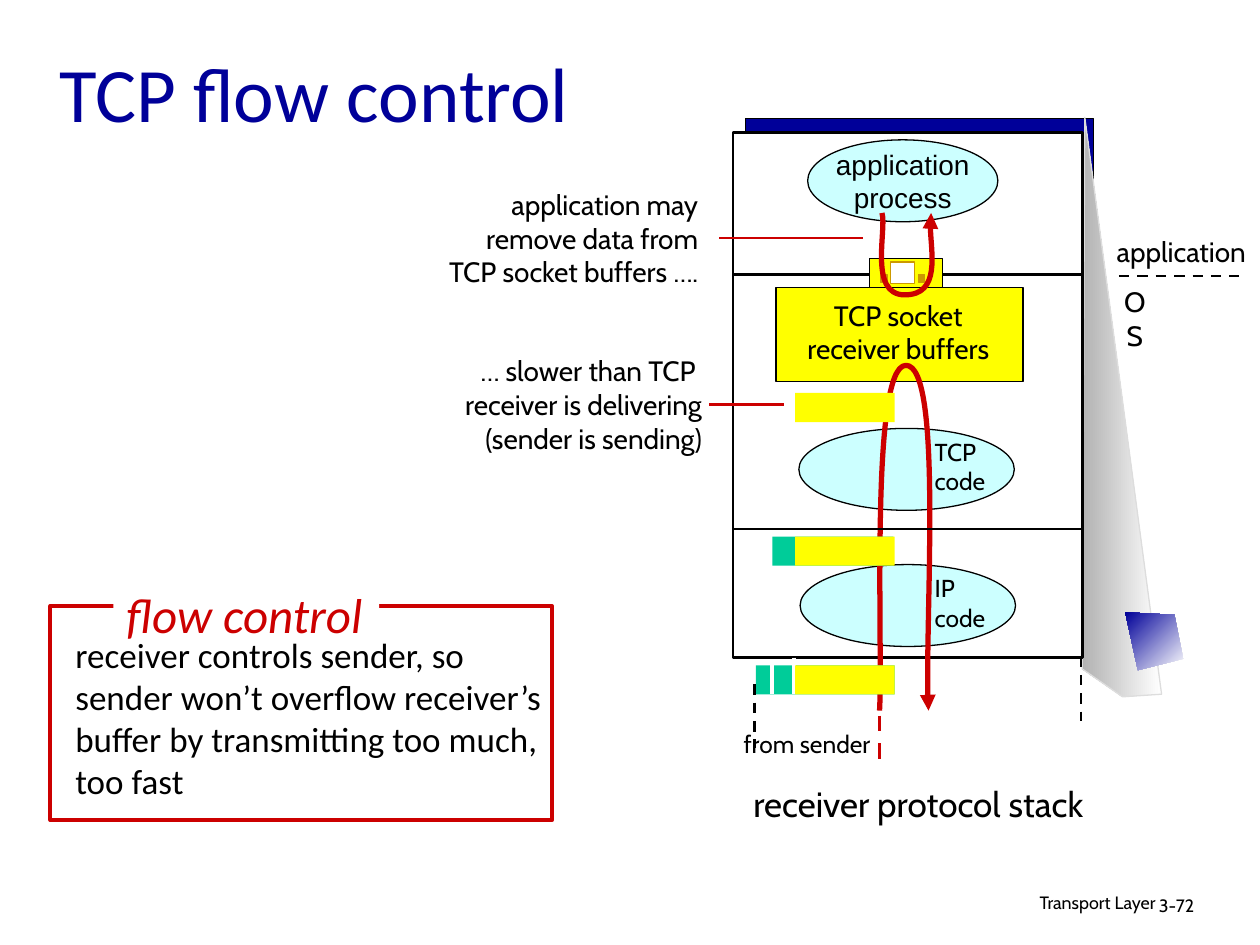
from typing import NamedTuple

from lxml import etree
from pptx import Presentation
from pptx.dml.color import RGBColor
from pptx.enum.dml import MSO_LINE
from pptx.enum.shapes import MSO_CONNECTOR, MSO_SHAPE
from pptx.enum.text import MSO_ANCHOR, MSO_AUTO_SIZE, PP_ALIGN
from pptx.oxml.ns import qn
from pptx.util import Pt

RECT, OVAL = MSO_SHAPE.RECTANGLE, MSO_SHAPE.OVAL
LEFT, CENTER, RIGHT = PP_ALIGN.LEFT, PP_ALIGN.CENTER, PP_ALIGN.RIGHT
TOP, MIDDLE = MSO_ANCHOR.TOP, MSO_ANCHOR.MIDDLE
STRAIGHT, DASH = MSO_CONNECTOR.STRAIGHT, MSO_LINE.DASH

COLORS = {
    "black": "000000", "white": "FFFFFF", "navy": "000099", "red": "CC0000",
    "yellow": "FFFF00", "cyan": "CCFFFF", "green": "00CC99", "gold": "CC9900",
    "gray": "B2B2B2", "pale": "DDDDDD",
}


class Box(NamedTuple):
    left: float
    top: float
    width: float
    height: float

    def at(self, x, y, width, height):
        return Box(self.left + x, self.top + y, width, height)

    def points(self, *pairs):
        return [(Pt(self.left + x), Pt(self.top + y)) for x, y in pairs]


def rgb(name):
    return RGBColor.from_string(COLORS[name])


def write(frame, text, size=16, font="Cabin", color="black", align=LEFT,
          anchor=TOP, wrap=False, italic=False, spacing=None):
    frame.word_wrap = wrap
    frame.auto_size = MSO_AUTO_SIZE.NONE
    frame.vertical_anchor = anchor
    frame.text = text
    for paragraph in frame.paragraphs:
        paragraph.alignment = align
        paragraph.line_spacing = spacing
        paragraph.font.size = Pt(size)
        paragraph.font.name = font
        paragraph.font.italic = italic
        paragraph.font.color.rgb = rgb(color)


def add_text(slide, box, text, **style):
    label = slide.shapes.add_textbox(*map(Pt, box))
    write(label.text_frame, text, **style)


def outline(shape, color, width):
    shape.shadow.inherit = False
    if color:
        shape.line.color.rgb = rgb(color)
        shape.line.width = Pt(width)
    else:
        shape.line.fill.background()


def add_block(slide, box, fill, line=None, width=0.75, kind=RECT):
    block = slide.shapes.add_shape(kind, *map(Pt, box))
    block.fill.solid()
    block.fill.fore_color.rgb = rgb(fill)
    outline(block, line, width)
    return block


def add_line(slide, box, start, end, color="black", width=1.5, dash=None):
    (x1, y1), (x2, y2) = box.points(start, end)
    line = slide.shapes.add_connector(STRAIGHT, x1, y1, x2, y2)
    line.line.color.rgb = rgb(color)
    line.line.width = Pt(width)
    line.line.dash_style = dash
    etree.SubElement(line.element.spPr, qn("a:effectLst"))


def add_outline(slide, points, close):
    builder = slide.shapes.build_freeform(*points[0], scale=1.0)
    builder.add_line_segments(points[1:], close=close)
    return builder.convert_to_shape()


def add_gradient(slide, points, end_color, angle, line=None):
    shape = add_outline(slide, points, True)
    shape.fill.gradient()
    shape.fill.gradient_angle = angle
    for stop, color in zip(shape.fill.gradient_stops, ("white", end_color)):
        stop.color.rgb = rgb(color)
    outline(shape, line, 0.75)


def add_flow_arrow(slide, points, arrow_end):
    """Red curve: each three points after the first make one Bézier segment."""
    curve = add_outline(slide, points, False)
    curve.fill.background()
    outline(curve, "red", 3)
    route = curve.element.xpath(".//a:path")[0]
    segments = route.findall(qn("a:lnTo"))
    for i in range(0, len(segments), 3):
        bezier = etree.SubElement(route, qn("a:cubicBezTo"))
        for segment in segments[i:i + 3]:
            bezier.append(segment[0])
            route.remove(segment)
    etree.SubElement(curve.line._get_or_add_ln(), qn(arrow_end), type="triangle")


def add_title(slide, box):
    title = slide.shapes.title
    title.left, title.top, title.width, title.height = map(Pt, box)
    write(title.text_frame, "TCP flow control", size=44, font="Calibri",
          color="navy", anchor=MIDDLE, wrap=True)


def add_footer(slide, box):
    style = {"size": 10.2, "spacing": 0.9, "wrap": True}
    add_text(slide, box, "Transport Layer", align=RIGHT, **style)
    add_text(slide, box.at(216, 1.4, 53.3, 21.6), "3-72", **style)


def add_protocol_stack(slide, box):
    # Raised frame
    add_block(slide, box.at(7.2, -7.9, 198.7, 303.8), "navy", "black")
    side = box.points((244.8, 321.1), (200.9, -8.6), (199.5, 306.7), (222.5, 322.6))
    add_gradient(slide, side, "gray", 180, "pale")
    add_block(slide, box, "white", "black", 1.5)

    # Processes and buffers
    process = add_block(slide, box.at(42.5, 4.3, 108.7, 46.8), "cyan", "black", kind=OVAL)
    write(process.text_frame, "application\nprocess", font="Arial",
          align=CENTER, anchor=MIDDLE)
    add_block(slide, box.at(24.5, 88.6, 141.1, 54), "yellow", "black")
    add_text(slide, box.at(28.1, 91.4, 132.5, 46), "TCP socket\nreceiver buffers",
             align=CENTER)
    for protocol, x, y in (("TCP", 37.5, 169.2), ("IP", 38.2, 247)):
        add_block(slide, box.at(x, y, 123.1, 46.8), "cyan", "black", kind=OVAL)
        add_text(slide, box.at(108, y + 1.4, 46.1, 41), f"{protocol}\ncode", size=14)

    # Path up through the layers, then the layer borders
    add_flow_arrow(slide, box.points(
        (83.6, 330.5), (85.7, 297.4), (77.8, 133.2), (98.7, 133.2),
        (119.6, 133.2), (108.8, 289.4), (111.6, 330.5)), "a:tailEnd")
    for y in (226.8, 81.4):
        add_line(slide, box, (0, y), (200.2, y))

    # Socket, and the path from it to the process
    add_block(slide, box.at(77.8, 72, 41.8, 16.6), "yellow", "black")
    add_block(slide, box.at(90, 74.2, 13.7, 12.2), "white", "gold")
    for x in (84.3, 105.9):
        add_block(slide, box.at(x, 81.4, 3.6, 4.3), "gold", "gold")
    add_flow_arrow(slide, box.points(
        (113.1, 46.1), (110.9, 54), (118.8, 92.9), (98, 92.9),
        (77.1, 92.9), (87.9, 55.4), (85, 46.1)), "a:headEnd")

    # Packets: green headers, yellow payload
    add_block(slide, box.at(13, 304.6, 79.2, 16.6), "green")
    add_block(slide, box.at(22.4, 231.1, 69.1, 16.6), "green")
    for x, y in ((22.4, 304.6), (34.6, 304.6), (34.6, 300.2)):
        add_line(slide, box, (x, y), (x, y + 16.6), "white", 2.25)
    for y in (149, 231.1, 304.6):
        add_block(slide, box.at(35.3, y, 57, 16.6), "yellow")

    # Link to the sender, and caption
    add_line(slide, box, (83.6, 333.4), (83.6, 360.7), "red", 2.25, DASH)
    add_text(slide, box.at(-5.7, 337.7, 95.8, 24.5), "from sender", size=14, align=CENTER)
    for x, y in ((12.3, 315.4), (198.8, 299.5)):
        add_line(slide, box, (x, y), (x, y + 36.7), dash=DASH)
    add_text(slide, box.at(-7.9, 367.9, 227.5, 31.7), "receiver protocol stack",
             size=20, align=CENTER)


def add_os_border(slide, box):
    add_text(slide, box, "application", align=CENTER)
    add_text(slide, box.at(5.8, 28.8, 32.4, 46), "OS", align=CENTER, wrap=True)
    add_line(slide, box, (13, 27.4), (81.4, 27.4), dash=DASH)


def add_corner_tile(slide, box):
    corners = box.points((0, 0), (28.1, 1.4), (box.width, 26.6), (7.2, box.height))
    add_gradient(slide, corners, "navy", 135)


def add_note(slide, box, text, start, end):
    add_text(slide, box, text, align=RIGHT, wrap=True)
    add_line(slide, box, (start, 32.4), (end, 32.4), "red")


def add_definition(slide, box):
    add_block(slide, box, "white", "red", 2.25)
    add_text(slide, box.at(7.2, 12.2, 283, 127.4),
             "receiver controls sender, so sender won’t overflow receiver’s "
             "buffer by transmitting too much, too fast",
             size=20, font="Calibri", wrap=True)
    add_block(slide, box.at(36, -8.6, 151.9, 28.1), "white")
    add_text(slide, box.at(30.2, -15.8, 161.3, 41), "flow control", size=28,
             font="Calibri", color="red", italic=True, align=CENTER)


def main():
    deck = Presentation()
    deck.slide_width, deck.slide_height = Pt(720), Pt(540)
    slide = deck.slides.add_slide(deck.slide_layouts[5])
    add_footer(slide, Box(439.2, 507.6, 228.2, 22.3))
    add_title(slide, Box(26.6, 13.7, 612, 77))
    add_protocol_stack(slide, Box(419, 75.6, 199.5, 300.2))
    add_os_border(slide, Box(626.4, 130.3, 97.2, 26.6))
    add_note(slide, Box(158.4, 103.7, 251.3, 64.8),
             "application may \nremove data from \nTCP socket buffers …. ", 252.7, 334.8)
    add_note(slide, Box(244.1, 198.7, 164.2, 84.2),
             "… slower than TCP \nreceiver is delivering\n(sender is sending)", 161.3, 203.7)
    add_definition(slide, Box(28.8, 346.3, 286.6, 122.4))
    add_corner_tile(slide, Box(643, 349.9, 33.1, 33.1))
    deck.save("out.pptx")


if __name__ == "__main__":
    main()
